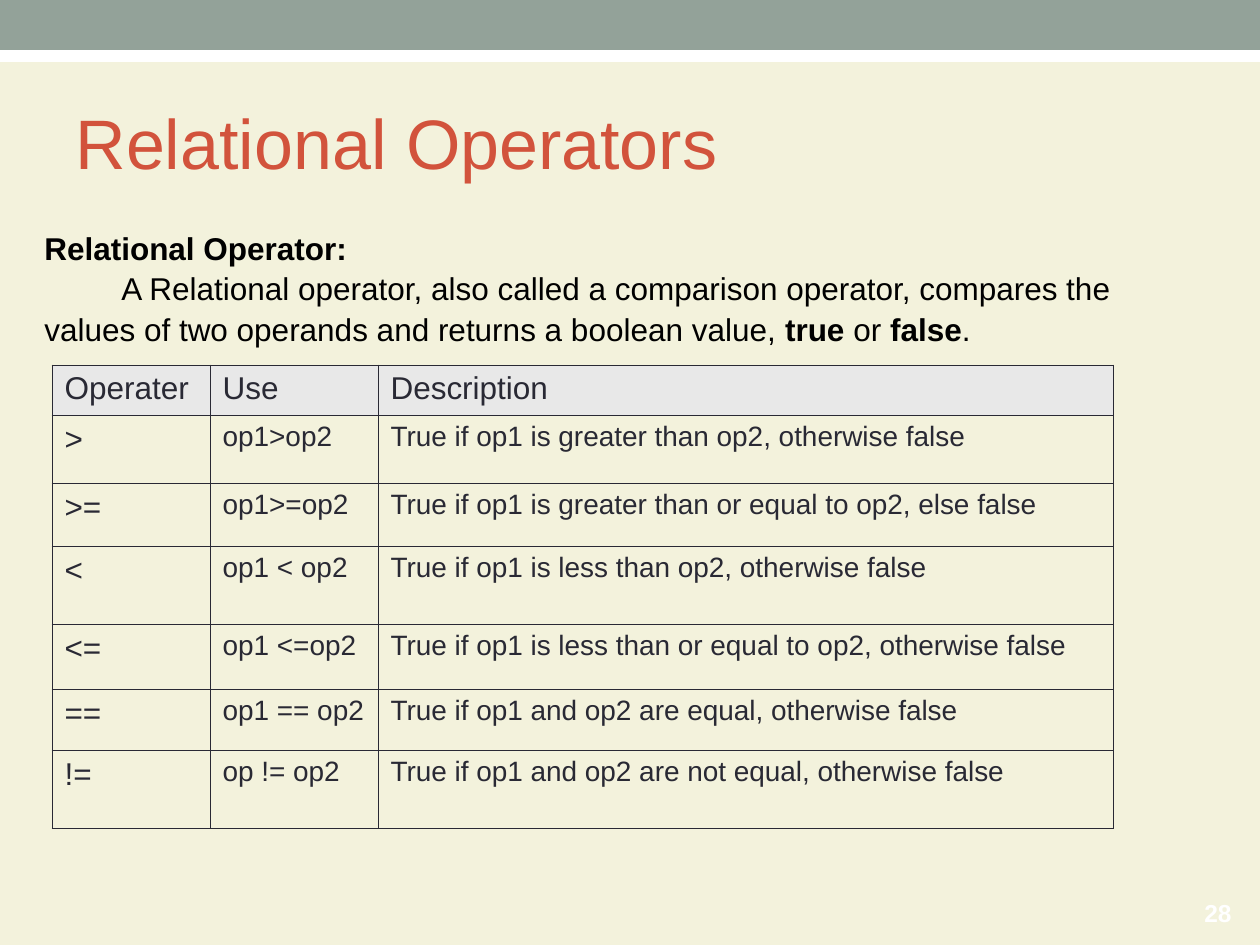
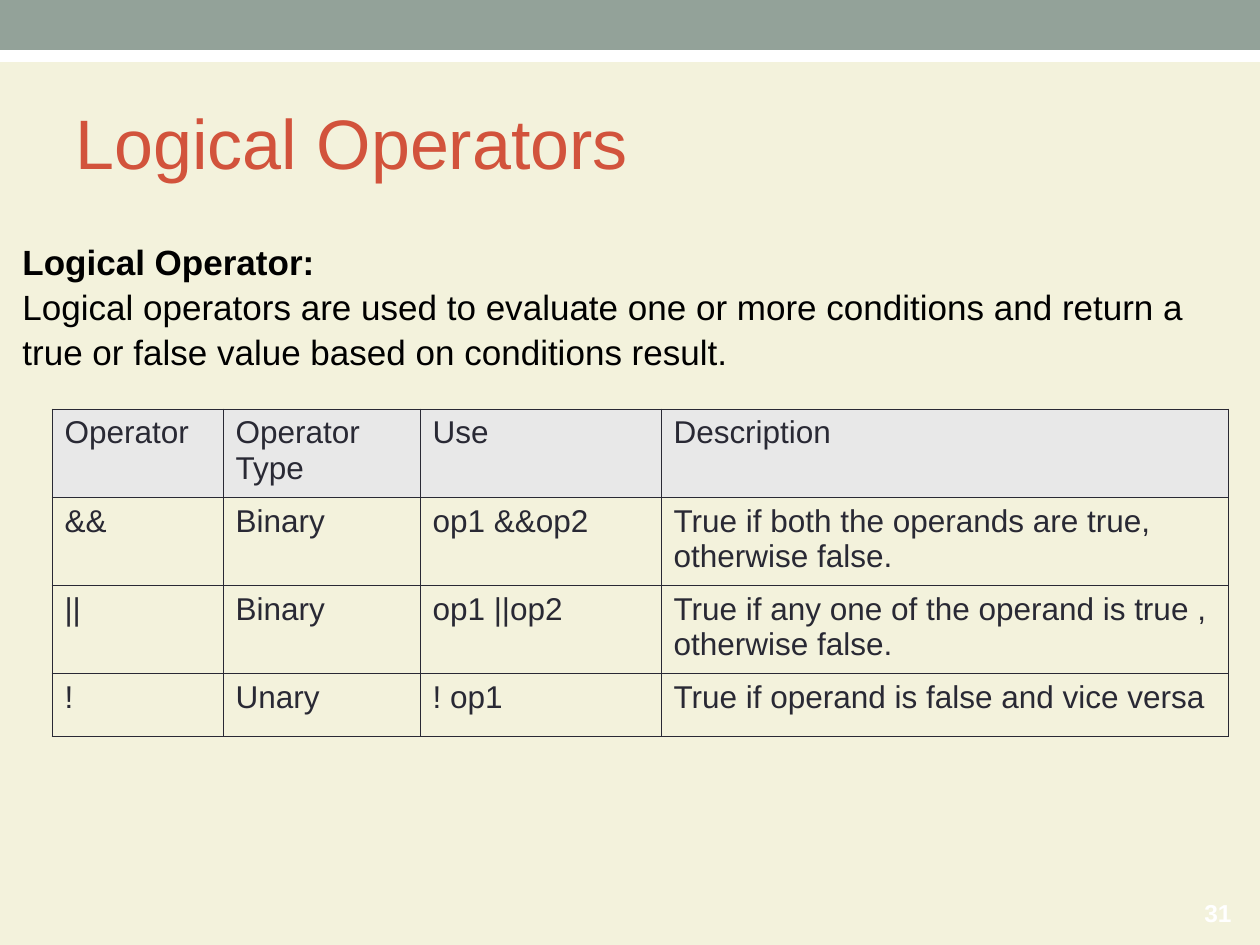
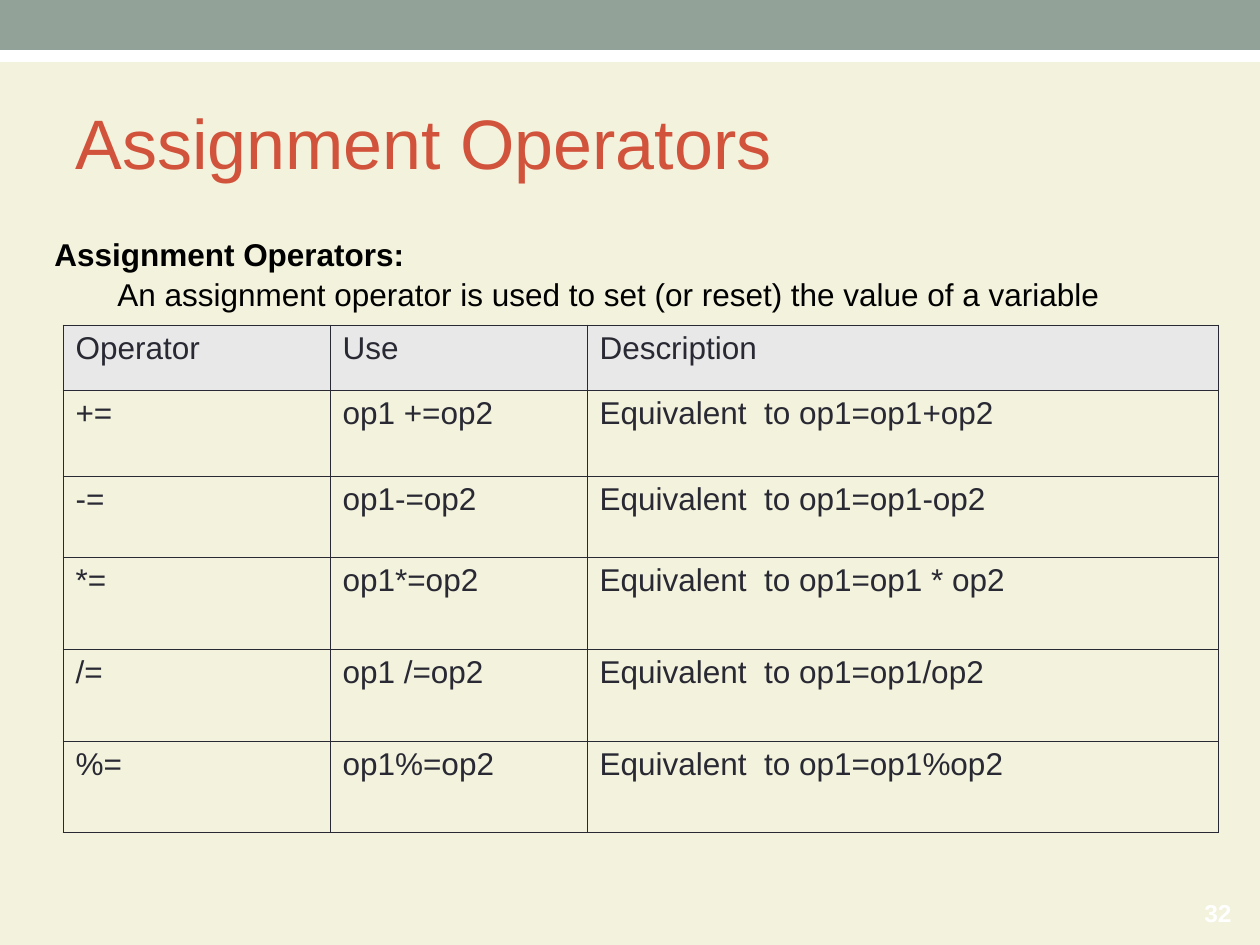
from dataclasses import dataclass

from lxml import etree
from pptx import Presentation
from pptx import util as u
from pptx.dml.color import RGBColor
from pptx.enum import shapes, text
from pptx.oxml import ns

PX_PER_INCH = 126
SLIDE_W, SLIDE_H = 1260, 945


@dataclass(frozen=True)
class Theme:
    font: str = "Arial"
    background: str = "F3F2DC"
    band: str = "93A299"
    white: str = "FFFFFF"
    title: str = "D2533C"
    body: str = "000000"
    table_text: str = "292934"
    header_fill: str = "E8E8E8"
    title_size: int = 40
    table_size: int = 18
    number_size: int = 14
    border_pt: float = 0.45
    body_spacing: float = 1.07


@dataclass(frozen=True)
class Box:
    left: int
    top: int
    width: int
    height: int


@dataclass(frozen=True)
class Band:
    box: Box
    color: str


@dataclass(frozen=True)
class Intro:
    """A bold heading and a definition given as (text, bold) pieces."""
    box: Box
    heading: str
    definition: list[tuple[str, bool]]
    size: int = 18
    margin: int = 0
    first_line: int = 0


@dataclass(frozen=True)
class OperatorTable:
    left: int
    top: int
    col_widths: list[int]
    row_heights: list[int]
    rows: list[list[str]]
    detail_size: int = 18


@dataclass(frozen=True)
class OperatorSlide:
    title: str
    number: int
    intro: Intro
    table: OperatorTable


THEME = Theme()
TITLE_BOX = Box(63, 73, 1134, 136)
NUMBER_BOX = Box(1150, 893, 94, 40)
BANDS = [
    Band(Box(0, 30, SLIDE_W, 32), THEME.white),
    Band(Box(0, 0, SLIDE_W, 50), THEME.band),
]

SLIDES = [
    OperatorSlide(
        "Relational Operators", 28,
        Intro(Box(32, 220, 1134, 126), "Relational Operator:", [
            ("A Relational operator, also called a comparison operator, compares the "
             "values of two operands and returns a boolean value, ", False),
            ("true ", True), ("or ", False), ("false", True), (".", False),
        ], first_line=77),
        OperatorTable(52, 365, [158, 168, 735], [50, 68, 63, 78, 65, 61, 78], [
            ["Operater", "Use", "Description"],
            [">", "op1>op2", "True if op1 is greater than op2, otherwise false"],
            [">=", "op1>=op2", "True if op1 is greater than or equal to op2, else false"],
            ["<", "op1 < op2", "True if op1 is less than op2, otherwise false"],
            ["<=", "op1 <=op2", "True if op1 is less than or equal to op2, otherwise false"],
            ["==", "op1 == op2", "True if op1 and op2 are equal, otherwise false"],
            ["!=", "op != op2", "True if op1 and op2 are not equal, otherwise false"],
        ], detail_size=16),
    ),
    OperatorSlide(
        "Logical Operators", 31,
        Intro(Box(10, 231, 1239, 139), "Logical Operator:", [
            ("Logical operators are used to evaluate one or more conditions and return a "
             "true or false value based on conditions result.", False),
        ], size=20),
        OperatorTable(52, 409, [171, 197, 241, 567], [88, 88, 88, 63], [
            ["Operator", "Operator Type", "Use", "Description"],
            ["&&", "Binary", "op1 &&op2", "True if both the operands are true, otherwise false."],
            ["||", "Binary", "op1 ||op2",
             "True if any one of the operand is true , otherwise false."],
            ["!", "Unary", "! op1", "True if operand is false and vice versa"],
        ]),
    ),
    OperatorSlide(
        "Assignment Operators", 32,
        Intro(Box(42, 226, 1166, 88), "Assignment Operators:", [
            ("An assignment operator is used to set (or reset) the value of a variable", False),
        ], margin=63),
        OperatorTable(63, 325, [267, 257, 631], [65, 86, 81, 92, 92, 92], [
            ["Operator", "Use", "Description"],
            ["+=", "op1 +=op2", "Equivalent  to op1=op1+op2"],
            ["-=", "op1-=op2", "Equivalent  to op1=op1-op2"],
            ["*=", "op1*=op2", "Equivalent  to op1=op1 * op2"],
            ["/=", "op1 /=op2", "Equivalent  to op1=op1/op2"],
            ["%=", "op1%=op2", "Equivalent  to op1=op1%op2"],
        ]),
    ),
]


def px(n: int) -> u.Emu:
    return u.Emu(round(n * u.Inches(1) / PX_PER_INCH))


def place(box: Box) -> tuple[u.Emu, ...]:
    return px(box.left), px(box.top), px(box.width), px(box.height)


def style_runs(p, size: int, color: str, bold: bool = False) -> None:
    for r in p.runs:
        r.font.name = THEME.font
        r.font.size = u.Pt(size)
        r.font.bold = bold
        r.font.color.rgb = RGBColor.from_string(color)


def add_bands(layout, s) -> None:
    """Draw the bands on a slide, then move them to the back of its layout."""
    for i, band in enumerate(BANDS):
        sp = s.shapes.add_shape(shapes.MSO_SHAPE.RECTANGLE, *place(band.box))
        sp.shadow.inherit = False
        sp.fill.solid()
        sp.fill.fore_color.rgb = RGBColor.from_string(band.color)
        sp.line.fill.background()
        layout.shapes.element.insert(2 + i, sp.element)


def add_title(s, title: str) -> None:
    sp = s.shapes.title
    sp.left, sp.top, sp.width, sp.height = place(TITLE_BOX)
    tf = sp.text_frame
    tf.text = title
    tf.vertical_anchor = text.MSO_ANCHOR.MIDDLE
    p = tf.paragraphs[0]
    p.alignment = text.PP_ALIGN.LEFT
    style_runs(p, THEME.title_size, THEME.title)


def add_intro(s, intro: Intro) -> None:
    tf = s.shapes.add_textbox(*place(intro.box)).text_frame
    tf.word_wrap = True
    tf.text = intro.heading
    heading, definition = tf.paragraphs[0], tf.add_paragraph()
    style_runs(heading, intro.size, THEME.body, bold=True)
    for piece, _ in intro.definition:
        definition.add_run().text = piece
    style_runs(definition, intro.size, THEME.body)
    for r, (_, bold) in zip(definition.runs, intro.definition):
        r.font.bold = bold
    for p in tf.paragraphs:
        p.line_spacing = THEME.body_spacing
    pPr = definition._p.get_or_add_pPr()
    pPr.set("marL", str(px(intro.margin)))
    pPr.set("indent", str(px(intro.first_line)))


def add_borders(cell) -> None:
    tcPr = cell._tc.get_or_add_tcPr()
    for side in ("a:lnL", "a:lnR", "a:lnT", "a:lnB"):
        ln = etree.SubElement(tcPr, ns.qn(side), w=str(u.Pt(THEME.border_pt)))
        fill = etree.SubElement(ln, ns.qn("a:solidFill"))
        etree.SubElement(fill, ns.qn("a:srgbClr"), val=THEME.table_text)


def add_operator_table(s, spec: OperatorTable) -> None:
    box = Box(spec.left, spec.top, sum(spec.col_widths), sum(spec.row_heights))
    table = s.shapes.add_table(len(spec.rows), len(spec.col_widths), *place(box)).table
    table.first_row = table.horz_banding = False
    for column, width in zip(table.columns, spec.col_widths):
        column.width = px(width)
    for row, height in zip(table.rows, spec.row_heights):
        row.height = px(height)
    for i, values in enumerate(spec.rows):
        for j, value in enumerate(values):
            cell = table.cell(i, j)
            cell.text = value
            size = spec.detail_size if i and j else THEME.table_size
            style_runs(cell.text_frame.paragraphs[0], size, THEME.table_text)
            add_borders(cell)
            if i:
                cell.fill.background()
            else:
                cell.fill.solid()
                cell.fill.fore_color.rgb = RGBColor.from_string(THEME.header_fill)


def add_number(s, number: int) -> None:
    tf = s.shapes.add_textbox(*place(NUMBER_BOX)).text_frame
    tf.word_wrap = True
    tf.vertical_anchor = text.MSO_ANCHOR.MIDDLE
    tf.text = str(number)
    p = tf.paragraphs[0]
    p.alignment = text.PP_ALIGN.RIGHT
    style_runs(p, THEME.number_size, THEME.white, bold=True)


def main() -> None:
    prs = Presentation()
    prs.slide_width, prs.slide_height = px(SLIDE_W), px(SLIDE_H)
    layout = prs.slide_layouts.get_by_name("Title Only")
    layout.background.fill.solid()
    layout.background.fill.fore_color.rgb = RGBColor.from_string(THEME.background)
    for i, content in enumerate(SLIDES):
        s = prs.slides.add_slide(layout)
        if i == 0:
            add_bands(layout, s)
        add_title(s, content.title)
        add_intro(s, content.intro)
        add_operator_table(s, content.table)
        add_number(s, content.number)
    prs.save("out.pptx")


if __name__ == "__main__":
    main()
